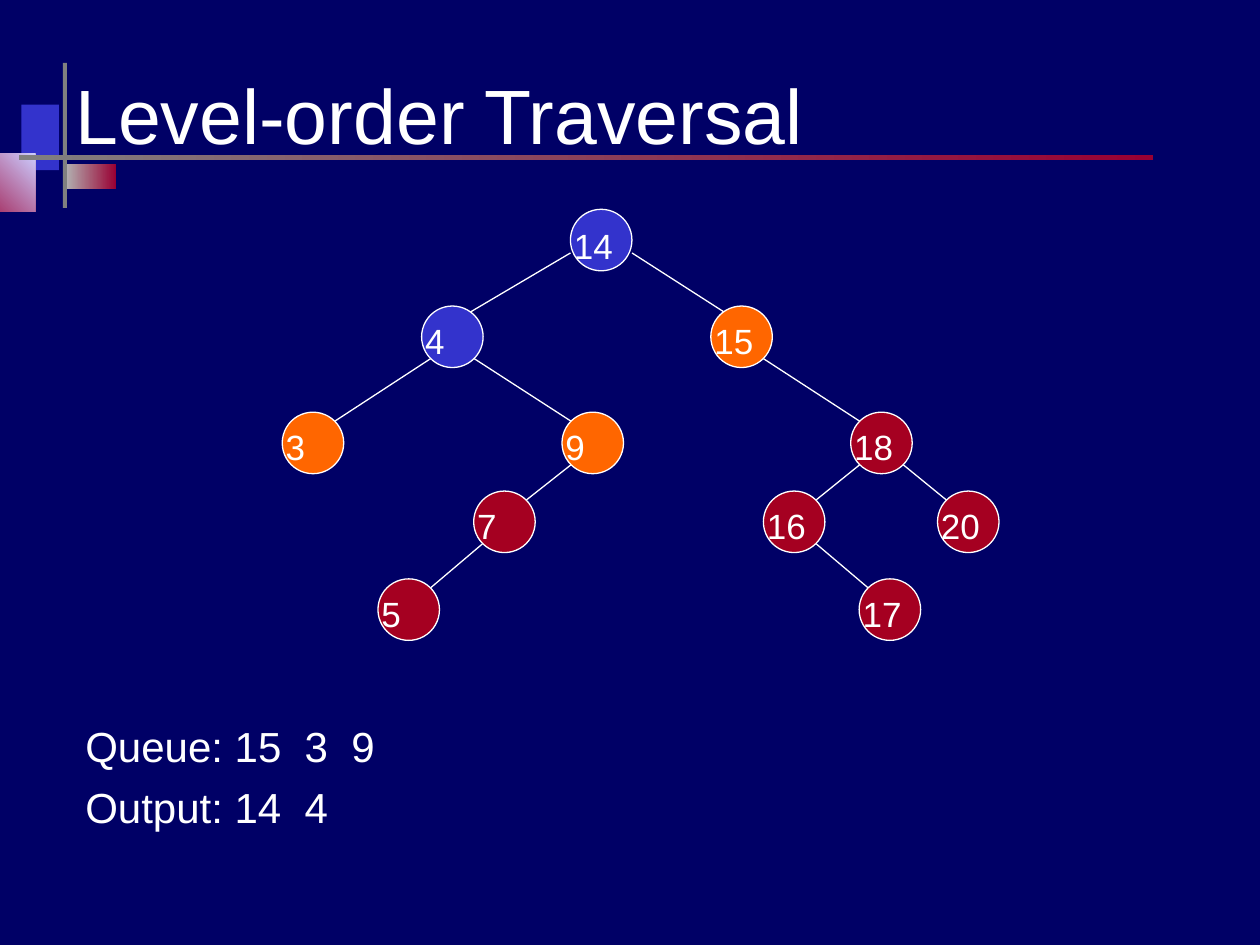
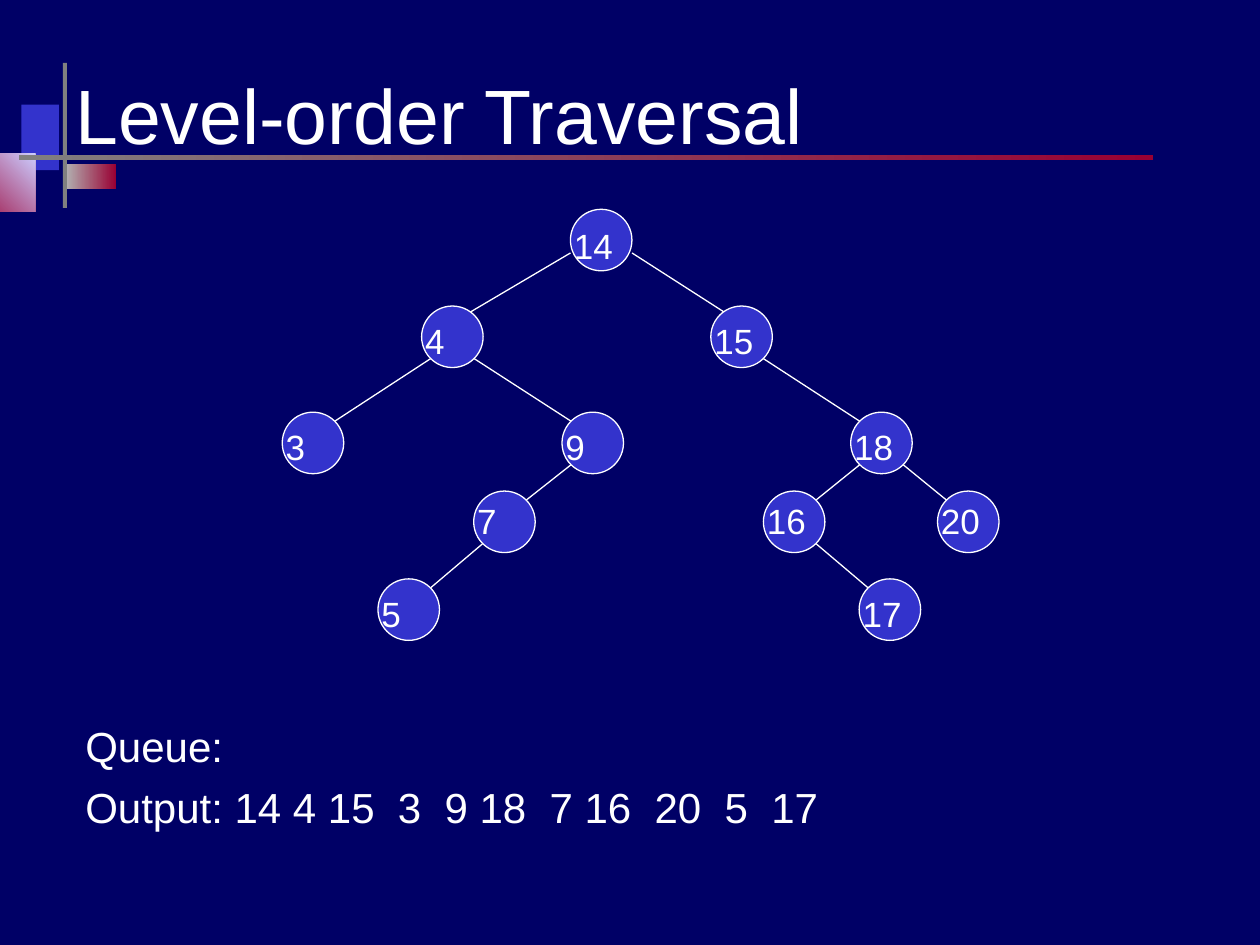
from lxml import etree
from pptx import Presentation
from pptx import util as u
from pptx.dml.color import RGBColor
from pptx.enum import shapes, text
from pptx.oxml.ns import qn

NAVY, BLUE, ORANGE, RED = "000066", "3333CC", "FF6600", "A50021"
WHITE, GREY, SILVER, WINE, LILAC = "FFFFFF", "808080", "B2B2B2", "990033", "CCCCFF"

DIAMETER = 1.24
EDGE_INSET = 0.18
ROOT = 14
# Left and top of each node, in cm
NODES = {
    14: (11.5, 4.22),
    4: (8.5, 6.17), 15: (14.33, 6.17),
    3: (5.69, 8.31), 9: (11.33, 8.31), 18: (17.15, 8.31),
    7: (9.55, 9.9), 16: (15.39, 9.9), 20: (18.9, 9.9),
    5: (7.62, 11.67), 17: (17.32, 11.67),
}
EDGES = [(14, 4), (14, 15), (4, 3), (4, 9), (15, 18), (9, 7),
         (18, 16), (18, 20), (7, 5), (16, 17)]


def color(value):
    return RGBColor.from_string(value)


class TreeDeck:
    font = "Arial"

    def __init__(self):
        self.presentation = Presentation()
        self.presentation.slide_width = u.Cm(25.4)
        self.presentation.slide_height = u.Cm(19.05)
        self.slide = None

    def add_slide(self, title):
        self.slide = self.presentation.slides.add_slide(self.presentation.slide_layouts[6])
        fill = self.slide.background.fill
        fill.solid()
        fill.fore_color.rgb = color(NAVY)
        self.add_ornament()
        self.add_text([title], 1.27, 1.02, 22.86, 2.54, 44, text.MSO_ANCHOR.MIDDLE)

    def add_ornament(self):
        rectangle = shapes.MSO_SHAPE.RECTANGLE
        self.add_shape(rectangle, 0.43, 2.11, 0.76, 1.32, [BLUE])
        self.add_shape(rectangle, 1.32, 3.3, 1.02, 0.51, [SILVER, WINE])
        self.add_shape(rectangle, -0.84, 3.1, 1.55, 1.17, [WINE, LILAC], angle=45)
        self.add_shape(rectangle, 1.27, 1.27, 0.08, 2.92, [GREY])
        self.add_shape(rectangle, 0.38, 3.12, 22.86, 0.1, [GREY, WINE])

    def add_shape(self, kind, left, top, width, height, fills, angle=0, line=None):
        """Two fills make a gradient that runs at the given angle."""
        shape = self.slide.shapes.add_shape(
            kind, u.Cm(left), u.Cm(top), u.Cm(width), u.Cm(height))
        shape.shadow.inherit = False
        if len(fills) == 1:
            shape.fill.solid()
            shape.fill.fore_color.rgb = color(fills[0])
        else:
            shape.fill.gradient()
            shape.fill.gradient_angle = angle
            for stop, value in zip(shape.fill.gradient_stops, fills):
                stop.color.rgb = color(value)
        if line:
            shape.line.color.rgb = color(line)
            shape.line.width = u.Pt(0.75)
        else:
            shape.line.fill.background()

    def add_text(self, lines, left, top, width, height, size,
                 anchor=text.MSO_ANCHOR.TOP, space_before=0):
        box = self.slide.shapes.add_textbox(
            u.Cm(left), u.Cm(top), u.Cm(width), u.Cm(height))
        frame = box.text_frame
        frame.word_wrap = True
        frame.vertical_anchor = anchor
        frame.text = "\n".join(lines)
        for index, paragraph in enumerate(frame.paragraphs):
            if index:
                paragraph.space_before = u.Pt(space_before)
            for run in paragraph.runs:
                run.font.name = self.font
                run.font.size = u.Pt(size)
                run.font.color.rgb = color(WHITE)

    def add_edge(self, parent, child):
        """Join the facing corners of two nodes, drawn in to meet the circles."""
        parent_left, parent_top = NODES[parent]
        child_left, child_top = NODES[child]
        parent_x, parent_y, child_x = EDGE_INSET, EDGE_INSET, EDGE_INSET
        if parent == ROOT:
            parent_x, parent_y, child_x = 0, 2 * EDGE_INSET, 2 * EDGE_INSET
        if child_left < parent_left:
            child_x = DIAMETER - child_x
        else:
            parent_x = DIAMETER - parent_x
        connector = self.slide.shapes.add_connector(
            shapes.MSO_CONNECTOR.STRAIGHT,
            u.Cm(parent_left + parent_x), u.Cm(parent_top + DIAMETER - parent_y),
            u.Cm(child_left + child_x), u.Cm(child_top + EDGE_INSET))
        connector.line.color.rgb = color(WHITE)
        connector.line.width = u.Pt(0.75)
        etree.SubElement(connector._element.spPr, qn("a:effectLst"))

    def add_node(self, value, fill, label_drop):
        left, top = NODES[value]
        self.add_shape(shapes.MSO_SHAPE.OVAL, left, top, DIAMETER, DIAMETER,
                       [fill], line=WHITE)
        self.add_text([str(value)], left - 0.18, top + label_drop, 1.6, 1.12, 20)

    def add_traversal(self, queue, output, fills, label_drops):
        """Draw one step; fills and label_drops list only the unusual nodes."""
        self.add_slide("Level-order Traversal")
        self.add_text([queue, output], 1.47, 14.4, 22.86, 2.54, 24, space_before=6)
        for parent, child in EDGES:
            self.add_edge(parent, child)
        for value in NODES:
            self.add_node(value, fills.get(value, BLUE), label_drops.get(value, 0.14))


def main():
    deck = TreeDeck()
    waiting = dict.fromkeys([15, 3, 9], ORANGE)
    unseen = dict.fromkeys([18, 7, 16, 20, 5, 17], RED)
    deck.add_traversal("Queue: 15  3  9", "Output: 14  4", waiting | unseen, {ROOT: 0.18})
    deck.add_traversal("Queue:", "Output: 14 4 15  3  9 18  7 16  20  5  17", {},
                       {ROOT: 0.18} | dict.fromkeys([7, 16, 20], 0.04))
    deck.presentation.save("out.pptx")


if __name__ == "__main__":
    main()
